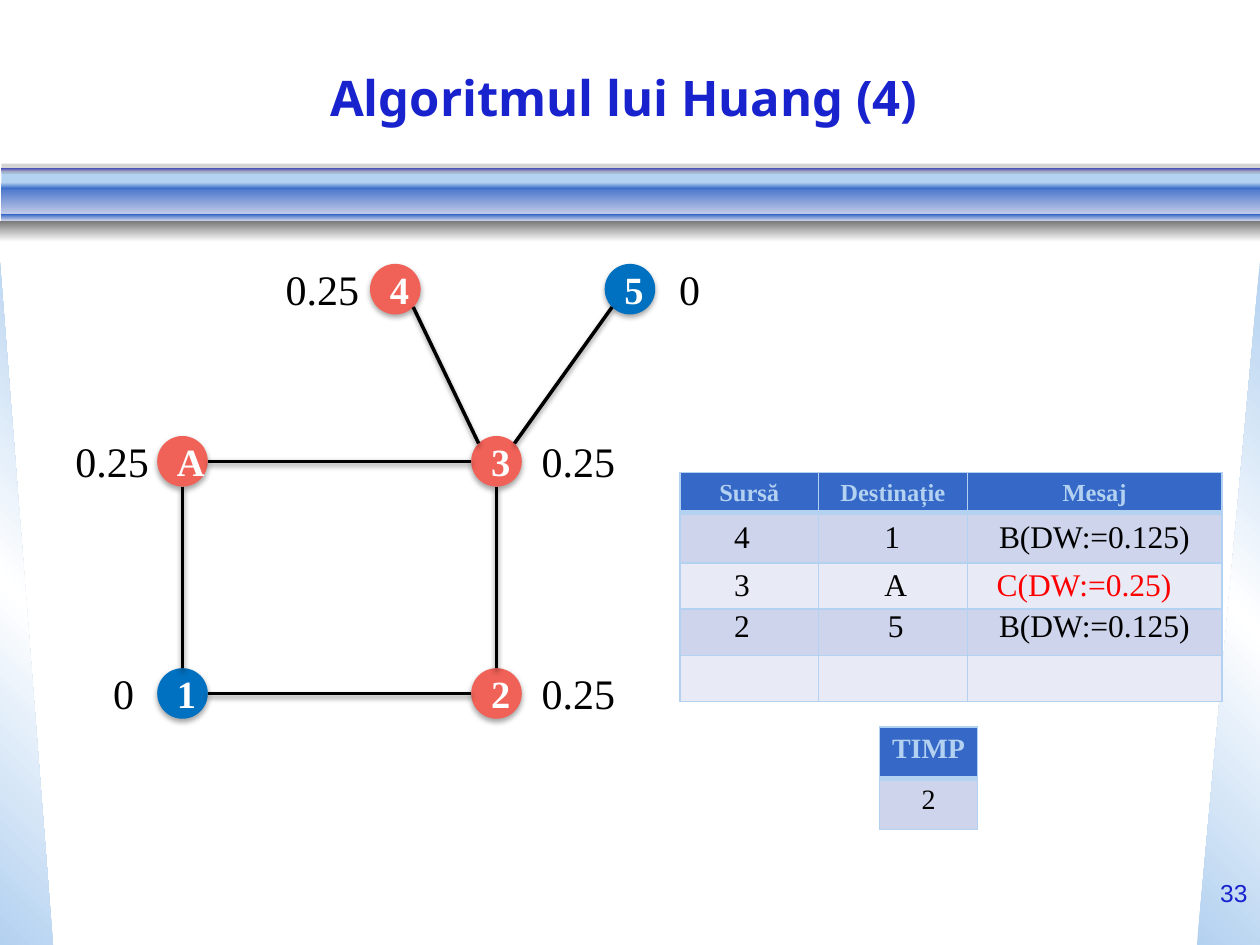
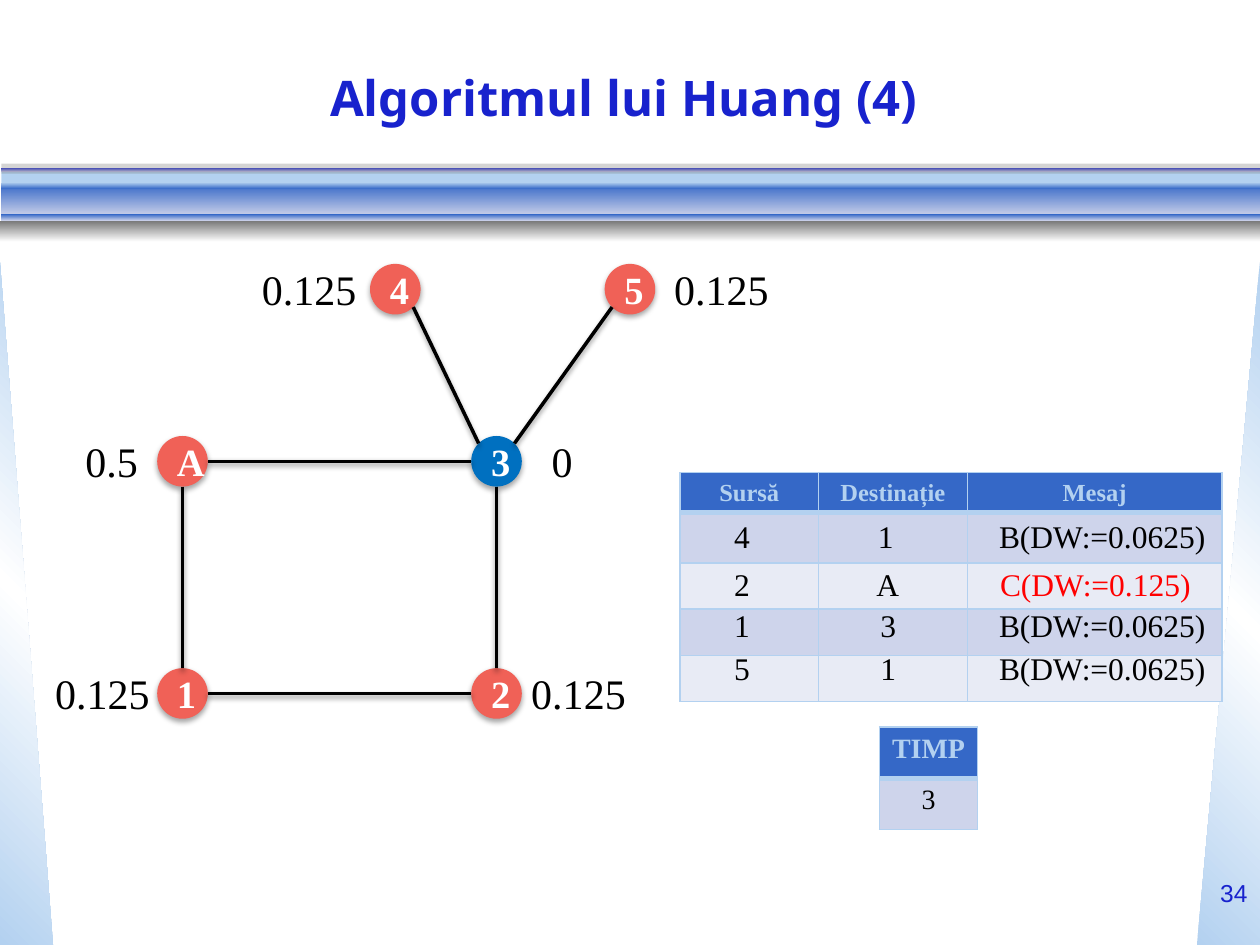
from math import hypot

from pptx import Presentation
from pptx.dml.color import RGBColor
from pptx.enum.shapes import MSO_CONNECTOR, MSO_SHAPE
from pptx.enum.text import MSO_ANCHOR, MSO_AUTO_SIZE, PP_ALIGN
from pptx.oxml import parse_xml
from pptx.oxml.ns import nsdecls, qn
from pptx.util import Cm, Pt

RECT, CIRCLE, WEDGE = MSO_SHAPE.RECTANGLE, MSO_SHAPE.OVAL, MSO_SHAPE.RIGHT_TRIANGLE
STRAIGHT = MSO_CONNECTOR.STRAIGHT
LEFT, CENTER, RIGHT = PP_ALIGN.LEFT, PP_ALIGN.CENTER, PP_ALIGN.RIGHT
MIDDLE = MSO_ANCHOR.MIDDLE
NO_FIT, GROW = MSO_AUTO_SIZE.NONE, MSO_AUTO_SIZE.SHAPE_TO_FIT_TEXT

COLORS = {
    "title": "1822CD", "sky": "B3D1F0", "blue": "3568C7", "mist": "CAD0E9",
    "lilac": "BABBE7", "gray": "777777", "white": "FFFFFF", "black": "000000",
    "active": "F06157", "idle": "0070C0", "red": "FF0000",
    "row_dark": "CED4EB", "row_light": "E8EBF5",
}
SERIF = "Times New Roman"
TITLE = "Algoritmul lui Huang (4) "

# Graph geometry in cm, relative to the graph's box
DIAMETER = 1.02
NODES = {"3": (6.83, 3.97), "1": (0.5, 8.65), "2": (6.83, 8.65),
         "4": (4.79, 0.5), "5": (9.52, 0.5), "A": (0.5, 3.97)}
EDGES = ["A3", "12", "A1", "32", "43", "53"]

MESSAGE_HEADER = ["Sursă", "Destinație", "Mesaj"]
MESSAGE_TOPS = [0.76, 1.73, 2.57, 3.43]

# Weights: node -> (text, left edge of its label)
# Messages: source, (target, left edge), (message, left edge)
STEPS = [
    {
        "number": 33, "time": "2",
        "weights": {"A": ("0.25", -1.91), "1": ("0", -1.15), "3": ("0.25", 7.49),
                    "2": ("0.25", 7.49), "4": ("0.25", 2.33), "5": ("0", 10.26)},
        "messages": [("4", ("1", 3.87), ("B(DW:=0.125)", 6.18)),
                     ("3", ("A", 3.87), ("C(DW:=0.25)", 6.13)),
                     ("2", ("5", 3.94), ("B(DW:=0.125)", 6.18))],
    },
    {
        "number": 34, "time": "3",
        "weights": {"A": ("0.5", -1.71), "1": ("0.125", -2.32), "3": ("0", 7.69),
                    "2": ("0.125", 7.28), "4": ("0.125", 1.85), "5": ("0.125", 10.16)},
        "messages": [("4", ("1", 3.74), ("B(DW:=0.0625)", 6.18)),
                     ("2", ("A", 3.71), ("C(DW:=0.125)", 6.2)),
                     ("1", ("3", 3.79), ("B(DW:=0.0625)", 6.18)),
                     ("5", ("1", 3.79), ("B(DW:=0.0625)", 6.18))],
    },
]


def color(name):
    return RGBColor.from_string(COLORS[name])


def style(para, size, name, bold=False, font=SERIF, align=LEFT):
    para.alignment = align
    para.font.size = Pt(size)
    para.font.name = font
    para.font.bold = bold
    para.font.color.rgb = color(name)


def add_shape(page, kind, box, fill=None):
    shape = page.shapes.add_shape(kind, *map(Cm, box))
    if fill:
        shape.fill.solid()
        shape.fill.fore_color.rgb = color(fill)
    shape.line.fill.background()
    return shape


def add_shadow(shape, alpha, distance):
    shape.element.spPr.append(parse_xml(
        f'<a:effectLst {nsdecls("a")}><a:outerShdw blurRad="{Pt(3.1)}" '
        f'dist="{Pt(distance)}" dir="5400000" rotWithShape="0">'
        f'<a:srgbClr val="{COLORS["black"]}"><a:alpha val="{alpha * 1000}"/>'
        '</a:srgbClr></a:outerShdw></a:effectLst>'))


def add_gradient(shape, names, angle):
    step = 100000 // (len(names) - 1)
    stops = "".join(f'<a:gs pos="{i * step}"><a:srgbClr val="{COLORS[name]}"/></a:gs>'
                    for i, name in enumerate(names))
    geometry = shape.element.spPr.find(qn("a:prstGeom"))
    geometry.addnext(parse_xml(
        f'<a:gradFill {nsdecls("a")} rotWithShape="1"><a:gsLst>{stops}</a:gsLst>'
        f'<a:lin ang="{angle * 60000}" scaled="0"/></a:gradFill>'))


def add_text(page, box, text, size, name, font=SERIF, align=LEFT, wrap=False):
    frame = page.shapes.add_textbox(*map(Cm, box)).text_frame
    frame.word_wrap = wrap
    frame.auto_size = NO_FIT if wrap else GROW
    frame.text = text
    style(frame.paragraphs[0], size, name, font=font, align=align)


def build_backdrop(page, layout):
    """Draw the side wedges and the band, then hand them to the layout."""
    shapes = []
    # Side wedges
    for left, width, angle, flip in [(0, 1.07, 315, None), (24.13, 1.27, 45, "flipH")]:
        wedge = add_shape(page, WEDGE, (left, 5.28, width, 13.77))
        add_gradient(wedge, ["sky", "white", "sky"], angle)
        shapes.append((wedge, flip))
    # Band strips: top, height, fill from top to bottom, flip
    strips = [
        (3.45, 0.25, ["sky"], "flipV"),
        (3.71, 0.64, ["blue", "mist"], None),
        (3.38, 0.08, ["title", "lilac"], None),
        (4.32, 0.13, ["mist", "blue"], "flipV"),
        (3.68, 0.13, ["sky", "blue"], None),
        (4.45, 0.43, ["gray", "white"], None),
        (3.3, 0.2, ["gray"], None),
    ]
    for top, height, names, flip in strips:
        plain = len(names) == 1
        left = 0 if "white" in names else 0.03
        strip = add_shape(page, RECT, (left, top, 25.4 - left, height),
                          names[0] if plain else None)
        if not plain:
            add_gradient(strip, names, 90)
        shapes.append((strip, flip))
    # The last strip is a see-through veil
    veil = shapes[-1][0].element.spPr.find(".//" + qn("a:srgbClr"))
    veil.append(parse_xml(f'<a:alpha {nsdecls("a")} val="31000"/>'))
    for index, (shape, flip) in enumerate(shapes):
        shape.shadow.inherit = False
        if flip:
            shape.element.spPr.xfrm.set(flip, "1")
        shape.element.nvSpPr.cNvPr.set("id", str(100 + index))
        layout.shapes.element.insert(2 + index, shape.element)


def build_title(page):
    title = page.shapes.title
    title.left, title.top, title.width, title.height = map(Cm, (1.27, 1.27, 22.86, 1.35))
    frame = title.text_frame
    frame.text = TITLE
    frame.vertical_anchor = MIDDLE
    frame.auto_size = NO_FIT
    style(frame.paragraphs[0], 28, "title", True, "Noto Sans", CENTER)


def build_graph(page, left, top, weights):
    radius = DIAMETER / 2
    # Nodes: those without weight are idle
    for node, (x, y) in NODES.items():
        fill = "idle" if weights[node][0] == "0" else "active"
        circle = add_shape(page, CIRCLE, (left + x - radius, top + y - radius,
                                          DIAMETER, DIAMETER), fill)
        add_shadow(circle, 35, 1.8)
        circle.text_frame.text = node
        circle.text_frame.vertical_anchor = MIDDLE
        style(circle.text_frame.paragraphs[0], 22, "white", True, align=CENTER)
    # Edges leave each circle straight or at 45 degrees
    for start, end in EDGES:
        (x1, y1), (x2, y2) = NODES[start], NODES[end]
        dx, dy = (x2 > x1) - (x2 < x1), (y2 > y1) - (y2 < y1)
        reach = radius / hypot(dx, dy)
        edge = page.shapes.add_connector(
            STRAIGHT, Cm(left + x1 + dx * reach), Cm(top + y1 + dy * reach),
            Cm(left + x2 - dx * reach), Cm(top + y2 - dy * reach))
        edge.line.color.rgb = color("black")
        edge.line.width = Pt(2)
        add_shadow(edge, 38, 1.6)
    # Weights beside the nodes
    for node, (text, x) in weights.items():
        width = 0.94 if text == "0" else 0.36 + 0.42 * len(text)
        add_text(page, (left + x, top + NODES[node][1] - 0.64, width, 1.27),
                 text, 24, "black")


def set_borders(cell, row):
    properties = cell._tc.get_or_add_tcPr()
    widths = {"L": 1, "R": 1, "T": 3 if row == 1 else 1, "B": 3 if row == 0 else 1}
    for side, width in widths.items():
        properties.append(parse_xml(
            f'<a:ln{side} {nsdecls("a")} w="{Pt(width)}"><a:solidFill>'
            f'<a:srgbClr val="{COLORS["sky"]}"/></a:solidFill></a:ln{side}>'))


def build_table(page, left, top, widths, heights, rows, size):
    box = map(Cm, (left, top, sum(widths), sum(heights)))
    table = page.shapes.add_table(len(heights), len(widths), *box).table
    for column, width in zip(table.columns, widths):
        column.width = Cm(width)
    for r, height in enumerate(heights):
        table.rows[r].height = Cm(height)
        fill = "blue" if r == 0 else "row_dark" if r % 2 else "row_light"
        for c in range(len(widths)):
            cell = table.cell(r, c)
            cell.margin_left = cell.margin_right = Cm(0.1)
            cell.margin_top, cell.margin_bottom = Cm(0.13), 0
            set_borders(cell, r)
            cell.fill.solid()
            cell.fill.fore_color.rgb = color(fill)
            if r < len(rows):
                cell.text = rows[r][c]
            style(cell.text_frame.paragraphs[0], size, "black" if r else "sky",
                  r == 0, align=CENTER)


def build_messages(page, left, top, messages):
    build_table(page, left, top, [2.79, 3, 5.13], [0.8, 1.02] + [0.93] * 3,
                [MESSAGE_HEADER], 14)
    # Messages lie over the empty rows
    for y, (source, target, message) in zip(MESSAGE_TOPS, messages):
        (target_text, target_left), (message_text, message_left) = target, message
        tint = "red" if message_text.startswith("C") else "black"
        message_width = 4.39 + 0.32 * (len(message_text) - 12)
        for x, width, text, name in [
            (0.84, 0.84, source, "black"),
            (target_left, 0.97 if target_text == "A" else 0.84, target_text, "black"),
            (message_left, message_width, message_text, tint),
        ]:
            add_text(page, (left + x, top + y, width, 1.02), text, 18, name)


def build_step(page, step):
    build_title(page)
    build_graph(page, 3.18, 5.33, step["weights"])
    build_messages(page, 13.71, 9.53, step["messages"])
    build_table(page, 17.73, 14.66, [1.98], [1.03] * 2, [["TIMP"], [step["time"]]], 16)
    # Page number
    add_text(page, (24.13, 17.58, 1.27, 1.47), str(step["number"]), 14, "title",
             "Arial", RIGHT, True)


def main():
    deck = Presentation()
    deck.slide_width, deck.slide_height = Cm(25.4), Cm(19.05)
    layout = deck.slide_layouts.get_by_name("Title Only")
    pages = [deck.slides.add_slide(layout) for _ in STEPS]
    build_backdrop(pages[0], layout)
    for page, step in zip(pages, STEPS):
        build_step(page, step)
    deck.save("out.pptx")


if __name__ == "__main__":
    main()
